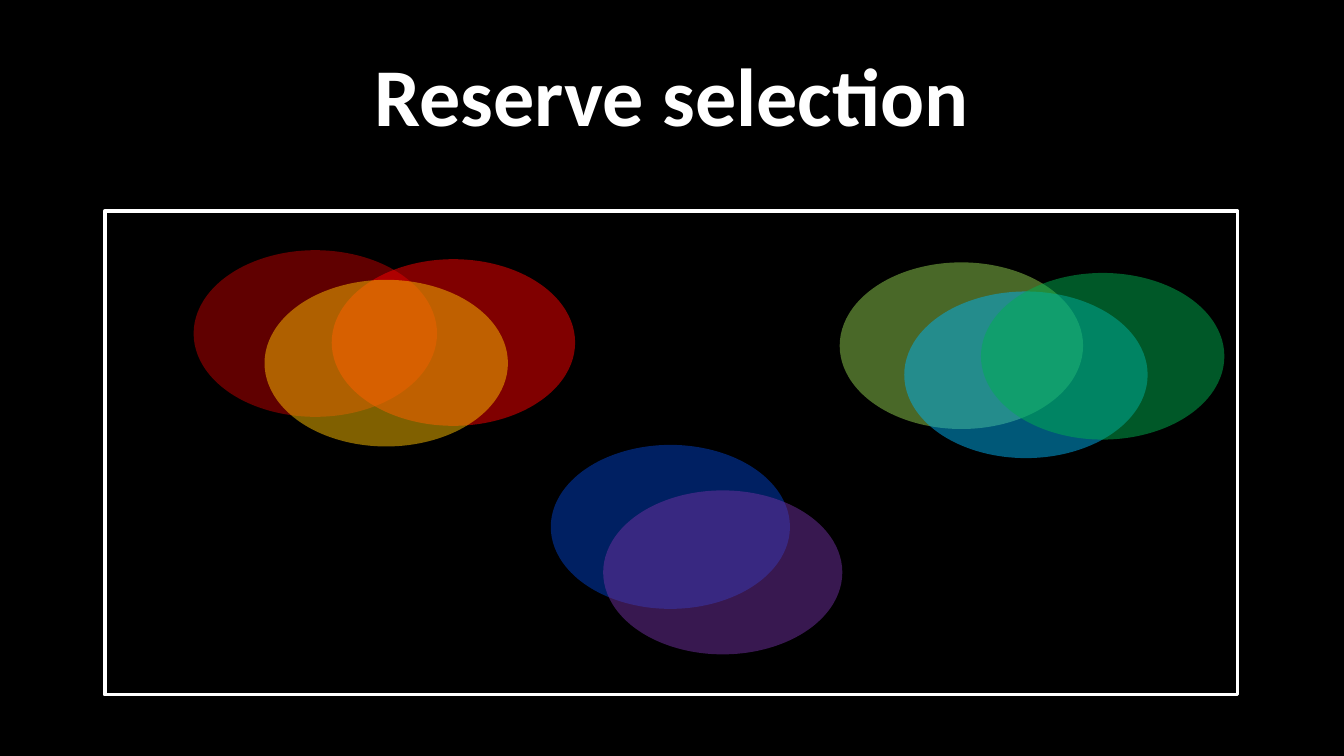
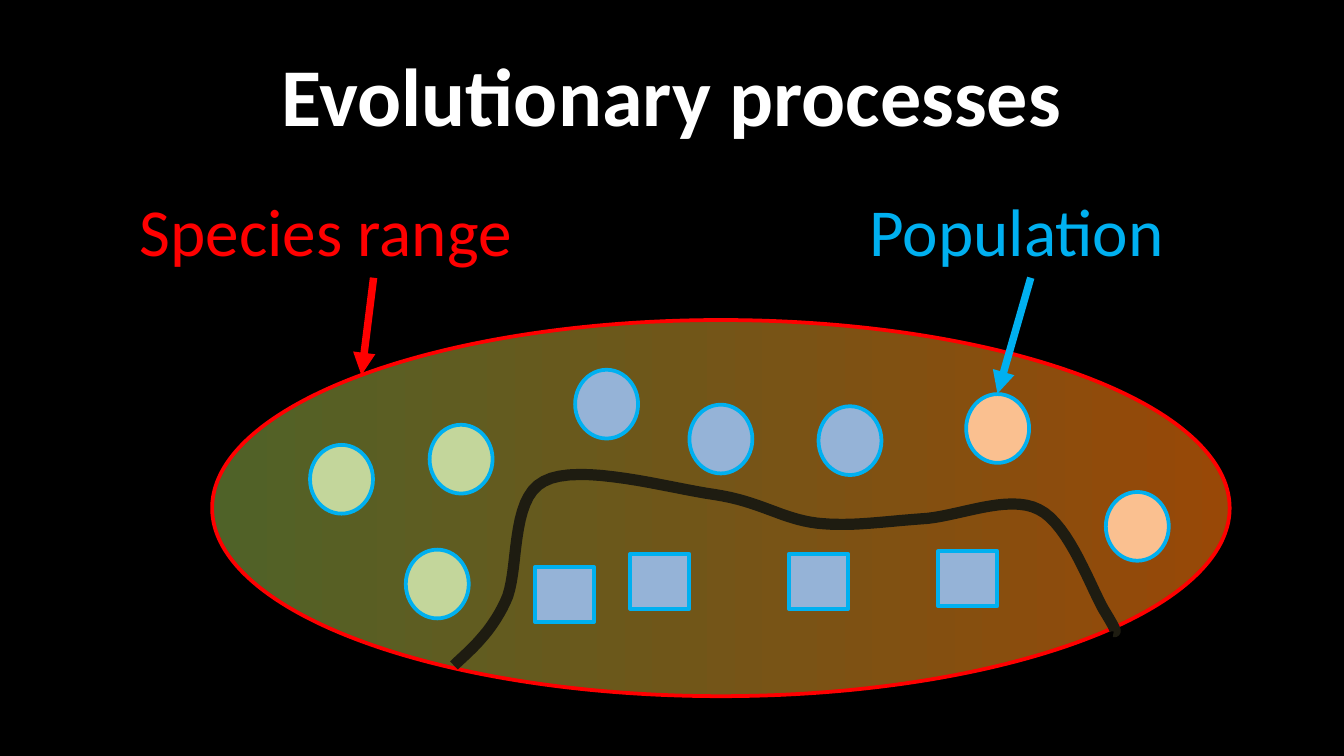
from collections import namedtuple
from dataclasses import dataclass

from lxml import etree
from pptx import Presentation
from pptx.dml.color import RGBColor
from pptx.enum.shapes import MSO_CONNECTOR, MSO_SHAPE
from pptx.enum.text import MSO_ANCHOR, MSO_AUTO_SIZE, PP_ALIGN
from pptx.oxml.ns import qn
from pptx.util import Cm, Pt

OVAL = MSO_SHAPE.OVAL
RECTANGLE = MSO_SHAPE.RECTANGLE
STRAIGHT = MSO_CONNECTOR.STRAIGHT
MIDDLE = MSO_ANCHOR.MIDDLE
GROW = MSO_AUTO_SIZE.SHAPE_TO_FIT_TEXT
CENTER = PP_ALIGN.CENTER
TITLE_ONLY = 5

# All boxes and points are in centimetres.
Box = namedtuple("Box", "left top width height")


@dataclass(frozen=True)
class Theme:
    font: str = "Calibri"
    title_size: int = 44
    label_size: int = 36
    outline: int = 2
    arrow: int = 4
    barrier_width: int = 6
    background: str = "000000"
    text: str = "FFFFFF"
    species_range: str = "FF0000"
    population: str = "00B0F0"
    range_west: str = "4F6228"
    range_east: str = "984807"
    west: str = "C3D69B"
    centre: str = "95B3D7"
    east: str = "FAC090"
    barrier: str = "1E1C11"


THEME = Theme()
TITLE_BOX = Box(1.27, 0.58, 22.86, 2.39)
RESERVE_BOX = Box(1.98, 3.99, 21.41, 9.14)
RANGE_BOX = Box(4.01, 6.05, 19.23, 7.11)
RANGE_LABEL_BOX = Box(2.39, 3.45, 9.35, 1.8)
POPULATION_LABEL_BOX = Box(16.18, 3.45, 6.6, 1.8)

LARGE_SPECIES = (4.6, 3.15)
SMALL_SPECIES = (4.52, 3.1)
# Left and top within the reserve, size, colour; from back to front.
SPECIES = [
    (8.43, 4.42, SMALL_SPECIES, "0041C4"),
    (1.68, 0.74, LARGE_SPECIES, "C00000"),
    (4.29, 0.91, LARGE_SPECIES, "FF0000"),
    (13.89, 0.97, LARGE_SPECIES, "92D050"),
    (15.11, 1.52, LARGE_SPECIES, "00B0F0"),
    (16.56, 1.17, LARGE_SPECIES, "00B050"),
    (9.42, 5.28, SMALL_SPECIES, "7030A0"),
    (3.02, 1.3, LARGE_SPECIES, "FFC000"),
]
SPECIES_OPACITY = 50

ROUND_SIZE = (1.19, 1.3)
SQUARE_SIZE = (1.12, 1.04)
# Left and top within the species range, by colour.
ROUND_POPULATIONS = {
    THEME.west: [(1.85, 2.36), (3.66, 4.34), (4.11, 1.98)],
    THEME.centre: [(6.86, 0.94), (9.02, 1.6), (11.46, 1.63)],
    THEME.east: [(14.25, 1.4), (16.89, 3.25)],
}
SQUARE_POPULATIONS = [(6.1, 4.67), (7.9, 4.42), (10.9, 4.42), (13.72, 4.37)]

# Bezier chain within the species range: an anchor, then two handles and an anchor.
BARRIER = [
    (4.57, 6.53),
    (4.9, 6.22), (5.26, 5.92), (5.54, 5.33),
    (5.82, 4.78), (5.61, 3.38), (6.27, 3.05),
    (6.93, 2.69), (8.64, 3.18), (9.5, 3.3),
    (10.36, 3.43), (10.77, 3.76), (11.43, 3.84),
    (12.07, 3.91), (12.67, 3.81), (13.39, 3.76),
    (14.07, 3.73), (15.04, 3.28), (15.62, 3.58),
    (16.21, 3.86), (16.64, 5.16), (16.89, 5.54),
    (17.12, 5.92), (17.07, 5.89), (17.04, 5.89),
]
CURVE_STEPS = 16


def rgb(colour):
    return RGBColor.from_string(colour)


def lengths(values):
    return [Cm(value) for value in values]


def inside(box, left, top, size):
    return Box(box.left + left, box.top + top, *size)


def style_line(line, colour, width):
    line.color.rgb = rgb(colour)
    line.width = Pt(width)


def style_text(paragraph, colour, size, bold=False):
    for run in paragraph.runs:
        run.font.name = THEME.font
        run.font.size = Pt(size)
        run.font.bold = bold
        run.font.color.rgb = rgb(colour)


def set_opacity(shape, percent):
    colour = shape.fill._xPr.find(qn("a:solidFill"))[0]
    etree.SubElement(colour, qn("a:alpha"), val=str(percent * 1000))


def add_figure(slide, kind, box, fill=None, outline=None):
    shape = slide.shapes.add_shape(kind, *lengths(box))
    shape.shadow.inherit = False
    if fill:
        shape.fill.solid()
        shape.fill.fore_color.rgb = rgb(fill)
    else:
        shape.fill.background()
    if outline:
        style_line(shape.line, outline, THEME.outline)
    else:
        shape.line.fill.background()
    return shape


def add_arrow(slide, start, end, colour):
    arrow = slide.shapes.add_connector(STRAIGHT, *lengths(start + end))
    style_line(arrow.line, colour, THEME.arrow)
    etree.SubElement(arrow.line._get_or_add_ln(), qn("a:tailEnd"), type="triangle")
    etree.SubElement(arrow._element.spPr, qn("a:effectLst"))


def add_pointing_label(slide, box, text, colour, start_x, tip):
    """Write a label with an arrow from its lower edge; tip is relative to its lower left corner."""
    label = slide.shapes.add_textbox(*lengths(box))
    frame = label.text_frame
    frame.word_wrap = True
    frame.auto_size = GROW
    frame.text = text
    style_text(frame.paragraphs[0], colour, THEME.label_size)
    bottom = box.top + box.height
    add_arrow(slide, (box.left + start_x, bottom),
              (box.left + tip[0], bottom + tip[1]), colour)


def curve_points(chain):
    """Return points along a chain of cubic Bezier curves."""
    points = [chain[0]]
    for first in range(0, len(chain) - 1, 3):
        controls = chain[first:first + 4]
        for step in range(1, CURVE_STEPS + 1):
            t = step / CURVE_STEPS
            weights = ((1 - t) ** 3, 3 * t * (1 - t) ** 2, 3 * t * t * (1 - t), t ** 3)
            points.append(tuple(
                sum(weight * value for weight, value in zip(weights, axis))
                for axis in zip(*controls)))
    return points


def add_barrier(slide, box):
    start, *others = [(Cm(box.left + x), Cm(box.top + y)) for x, y in curve_points(BARRIER)]
    builder = slide.shapes.build_freeform(*start)
    builder.add_line_segments(others, close=False)
    barrier = builder.convert_to_shape()
    barrier.shadow.inherit = False
    barrier.fill.background()
    style_line(barrier.line, THEME.barrier, THEME.barrier_width)


def add_species_range(slide, box):
    area = add_figure(slide, OVAL, box, outline=THEME.species_range)
    area.fill.gradient()
    area.fill.gradient_angle = 0
    for stop, colour in zip(area.fill.gradient_stops, (THEME.range_west, THEME.range_east)):
        stop.color.rgb = rgb(colour)
    for colour, places in ROUND_POPULATIONS.items():
        for place in places:
            add_figure(slide, OVAL, inside(box, *place, ROUND_SIZE), colour, THEME.population)
    add_barrier(slide, box)
    for place in SQUARE_POPULATIONS:
        add_figure(slide, RECTANGLE, inside(box, *place, SQUARE_SIZE),
                   THEME.centre, THEME.population)


def add_reserve(slide, box):
    add_figure(slide, RECTANGLE, box, outline=THEME.text)
    for left, top, size, colour in SPECIES:
        species = add_figure(slide, OVAL, inside(box, left, top, size), colour)
        set_opacity(species, SPECIES_OPACITY)


def prepare_template(presentation):
    """Set the background and title place that every slide inherits."""
    background = presentation.slide_master.background.fill
    background.solid()
    background.fore_color.rgb = rgb(THEME.background)
    title = presentation.slide_layouts[TITLE_ONLY].placeholders[0]
    title.left, title.top, title.width, title.height = lengths(TITLE_BOX)


def add_titled_slide(presentation, text):
    slide = presentation.slides.add_slide(presentation.slide_layouts[TITLE_ONLY])
    frame = slide.shapes.title.text_frame
    frame.text = text
    frame.vertical_anchor = MIDDLE
    frame.paragraphs[0].alignment = CENTER
    style_text(frame.paragraphs[0], THEME.text, THEME.title_size, bold=True)
    return slide


def add_reserve_slide(presentation):
    slide = add_titled_slide(presentation, "Reserve selection")
    add_reserve(slide, RESERVE_BOX)


def add_evolution_slide(presentation):
    slide = add_titled_slide(presentation, "Evolutionary processes")
    add_species_range(slide, RANGE_BOX)
    add_pointing_label(slide, RANGE_LABEL_BOX, "Species range",
                       THEME.species_range, 4.67, (4.44, 1.84))
    add_pointing_label(slide, POPULATION_LABEL_BOX, "Population",
                       THEME.population, 3.3, (2.67, 2.19))


def main():
    presentation = Presentation()
    presentation.slide_width = Cm(25.4)
    presentation.slide_height = Cm(14.29)
    prepare_template(presentation)
    add_reserve_slide(presentation)
    add_evolution_slide(presentation)
    presentation.save("out.pptx")


if __name__ == "__main__":
    main()
